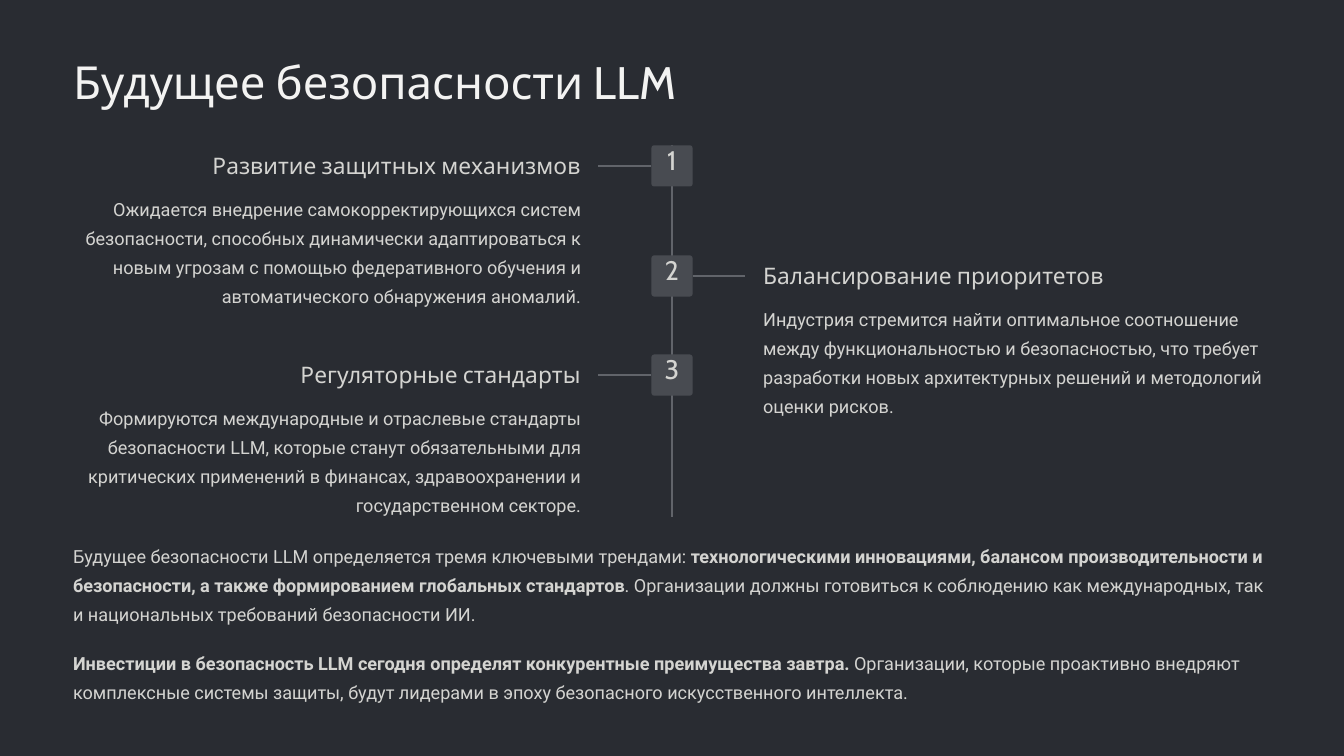
from lxml import etree
from pptx import Presentation
from pptx.dml.color import RGBColor
from pptx.enum import shapes, text
from pptx.oxml.ns import qn
from pptx.util import Inches, Pt

BACKGROUND = RGBColor(0x29, 0x2C, 0x32)
TITLE = RGBColor(0xF3, 0xF3, 0xF2)
TEXT = RGBColor(0xD4, 0xD4, 0xD1)
LINE = RGBColor(0x61, 0x64, 0x6A)
BOX = RGBColor(0x48, 0x4B, 0x51)
LEFT, RIGHT = text.PP_ALIGN.LEFT, text.PP_ALIGN.RIGHT

MARGIN, CONTENT_W = 0.87, 14.26
BOX_SIZE, BRANCH, TEXT_GAP, TEXT_W = 0.49, 0.63, 0.21, 6.05

# Top, side, heading width, heading, description
STEPS = [
    (1.73, LEFT, 4.26, "Развитие защитных механизмов",
     "Ожидается внедрение самокорректирующихся систем безопасности, способных "
     "динамически адаптироваться к новым угрозам с помощью федеративного обучения "
     "и автоматического обнаружения аномалий."),
    (3.04, RIGHT, 3.91, "Балансирование приоритетов",
     "Индустрия стремится найти оптимальное соотношение между функциональностью "
     "и безопасностью, что требует разработки новых архитектурных решений и "
     "методологий оценки рисков."),
    (4.22, LEFT, 3.3, "Регуляторные стандарты",
     "Формируются международные и отраслевые стандарты безопасности LLM, которые "
     "станут обязательными для критических применений в финансах, здравоохранении "
     "и государственном секторе."),
]

# Top, height, runs as (text, bold)
CLOSING = [
    (6.4, 1.04, [
        ("Будущее безопасности LLM определяется тремя ключевыми трендами: ", False),
        ("технологическими инновациями, балансом производительности и безопасности, "
         "а также формированием глобальных стандартов", True),
        (". Организации должны готовиться к соблюдению как международных, так и "
         "национальных требований безопасности ИИ.", False)]),
    (7.68, 0.69, [
        ("Инвестиции в безопасность LLM сегодня определят конкурентные преимущества "
         "завтра.", True),
        (" Организации, которые проактивно внедряют комплексные системы защиты, будут "
         "лидерами в эпоху безопасного искусственного интеллекта.", False)]),
]


def write(sp, runs, size, spacing, font="Cabin", color=TEXT, align=LEFT,
          wrap=False, top=0):
    tf = sp.text_frame
    tf.auto_size = text.MSO_AUTO_SIZE.NONE
    tf.word_wrap = wrap
    tf.vertical_anchor = text.MSO_ANCHOR.TOP
    tf.margin_left = tf.margin_right = tf.margin_bottom = 0
    tf.margin_top = Inches(top)
    p = tf.paragraphs[0]
    p.alignment, p.line_spacing = align, Pt(spacing)
    p.font.name, p.font.size, p.font.color.rgb = font, Pt(size), color
    for words, bold in runs:
        r = p.add_run()
        r.text = words
        if bold:
            r.font.bold = True


def add_text(s, x, y, w, h, runs, size, spacing, **style):
    sp = s.shapes.add_textbox(Inches(x), Inches(y), Inches(w), Inches(h))
    write(sp, runs, size, spacing, **style)


def add_line(s, x1, y1, x2, y2):
    line = s.shapes.add_connector(shapes.MSO_CONNECTOR.STRAIGHT, Inches(x1),
                                  Inches(y1), Inches(x2), Inches(y2))
    line.line.color.rgb = LINE
    line.line.width = Pt(2)
    etree.SubElement(line._element.spPr, qn("a:effectLst"))
    return line


def add_title(s, x, y, w, h):
    sp = s.shapes.title
    sp.left, sp.top, sp.width, sp.height = map(Inches, (x, y, w, h))
    write(sp, [("Будущее безопасности LLM", False)], 39, 48.5, color=TITLE, wrap=True)


def add_step(s, axis, y, number, side, heading_w, heading, description):
    # Numbered box on the axis
    box = s.shapes.add_shape(shapes.MSO_SHAPE.ROUNDED_RECTANGLE,
                             Inches(axis - BOX_SIZE / 2), Inches(y),
                             Inches(BOX_SIZE), Inches(BOX_SIZE))
    box.adjustments[0] = 0.067
    box.shadow.inherit = False
    box.fill.solid()
    box.fill.fore_color.rgb = BOX
    box.line.fill.background()
    write(box, [(str(number), False)], 23, 23, align=text.PP_ALIGN.CENTER, top=0.03)

    # Branch from the box towards its text
    on_left = side == LEFT
    sign = -1 if on_left else 1
    edge = axis + sign * BOX_SIZE / 2
    tip = edge + sign * BRANCH
    middle = y + BOX_SIZE / 2
    add_line(s, edge, middle, tip, middle).begin_connect(box, 1 if on_left else 3)

    # Heading and description, aligned to the branch
    near = tip + sign * TEXT_GAP
    align = RIGHT if on_left else LEFT
    add_text(s, near - heading_w if on_left else near, y + 0.07, heading_w, 0.34,
             [(heading, False)], 19.5, 24, align=align)
    add_text(s, near - TEXT_W if on_left else near, y + 0.54, TEXT_W, 1.39,
             [(description, False)], 15.5, 25, font="Roboto", align=align, wrap=True)


def add_timeline(s, x, y, w, h):
    axis = x + w / 2
    add_line(s, axis, y, axis, y + h)
    for number, (top, *step) in enumerate(STEPS, 1):
        add_step(s, axis, top, number, *step)


def add_closing(s, x, w):
    for y, h, runs in CLOSING:
        add_text(s, x, y, w, h, runs, 15.5, 25, font="Roboto", wrap=True)


def main():
    prs = Presentation()
    prs.slide_width, prs.slide_height = Inches(16), Inches(9)
    s = prs.slides.add_slide(prs.slide_layouts[5])
    s.background.fill.solid()
    s.background.fill.fore_color.rgb = BACKGROUND
    add_title(s, MARGIN, 0.62, 8, 0.68)
    add_timeline(s, MARGIN, 1.73, CONTENT_W, 4.42)
    add_closing(s, MARGIN, CONTENT_W)
    prs.save("out.pptx")


if __name__ == "__main__":
    main()
